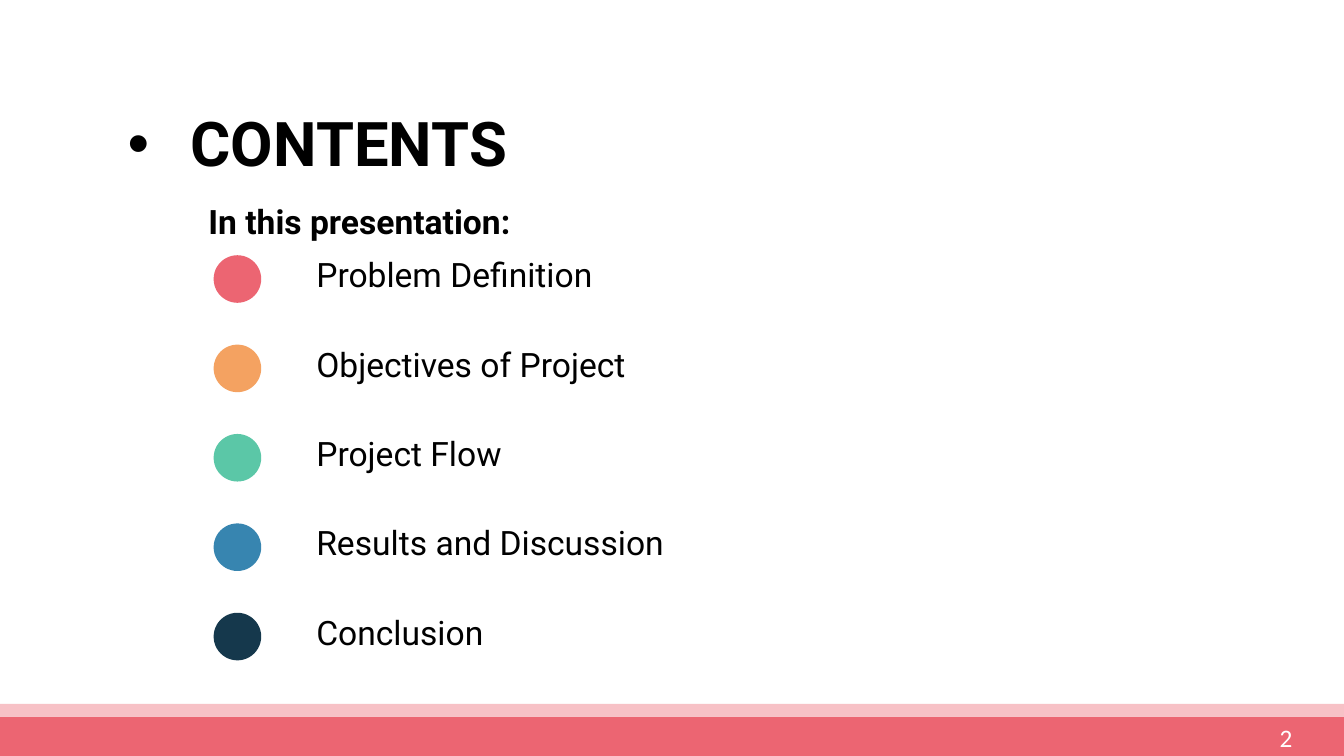
from lxml.etree import SubElement
from pptx import Presentation
from pptx.dml.color import RGBColor
from pptx.enum.shapes import MSO_SHAPE
from pptx.enum.text import MSO_ANCHOR, PP_ALIGN
from pptx.oxml.ns import qn
from pptx.util import Pt

# Content
TITLE = "CONTENTS"
INTRO = "In this presentation:"
TOPICS = [
    ("Problem Definition", "EC6572"),
    ("Objectives of Project", "F4A261"),
    ("Project Flow", "5BC7A7"),
    ("Results and Discussion", "3785B0"),
    ("Conclusion", "15384C"),
]
PAGE_NUMBER = "2"
FOOTER_BANDS = [  # top, height, colour
    (511.9, 28.1, "EC6572"),
    (502.7, 9.2, "F7C1C6"),
]

# Layout, in points
WIDTH, HEIGHT = 960, 540
DOT_LEFT, DOT_TOP, DOT_SIZE = 152.6, 182.3, 34
LABEL_LEFT, LABEL_TOP, LABEL_WIDTH, LABEL_HEIGHT = 218.9, 177.9, 385, 36
ROW_PITCH = 63.85
TITLE_INDENT = 45


def color(value):
    return RGBColor.from_string(value)


def set_font(paragraph, size, name="Roboto", fill="000000", bold=False):
    paragraph.font.size = Pt(size)
    paragraph.font.name = name
    paragraph.font.color.rgb = color(fill)
    paragraph.font.bold = bold


def add_filled(kind, left, top, width, height, fill):
    shape = slide.shapes.add_shape(kind, Pt(left), Pt(top), Pt(width), Pt(height))
    shape.shadow.inherit = False
    shape.fill.solid()
    shape.fill.fore_color.rgb = color(fill)
    shape.line.fill.background()


def add_text(text, left, top, width, height, anchor=MSO_ANCHOR.TOP, size=24, **font):
    box = slide.shapes.add_textbox(Pt(left), Pt(top), Pt(width), Pt(height))
    frame = box.text_frame
    frame.word_wrap = True
    frame.vertical_anchor = anchor
    frame.text = text
    set_font(frame.paragraphs[0], size, **font)


presentation = Presentation()
presentation.slide_width, presentation.slide_height = Pt(WIDTH), Pt(HEIGHT)
slide = presentation.slides.add_slide(presentation.slide_layouts[5])

# Footer bands
for top, height, fill in FOOTER_BANDS:
    add_filled(MSO_SHAPE.RECTANGLE, 0, top, WIDTH, height, fill)

# Bulleted title
title = slide.shapes.title
title.left, title.top, title.width, title.height = Pt(84), Pt(52.5), Pt(828), Pt(104.4)
title.text_frame.text = TITLE
title.text_frame.vertical_anchor = MSO_ANCHOR.MIDDLE
paragraph = title.text_frame.paragraphs[0]
paragraph.alignment = PP_ALIGN.LEFT
paragraph.line_spacing = 0.9
properties = paragraph._p.get_or_add_pPr()
properties.set("marL", str(Pt(TITLE_INDENT)))
properties.set("indent", str(-Pt(TITLE_INDENT)))
SubElement(properties, qn("a:buFont")).set("typeface", "Arial")
SubElement(properties, qn("a:buChar")).set("char", "•")
set_font(paragraph, 44, bold=True)

# Topic list
add_text(INTRO, 141.8, 139.7, 309, 36, bold=True)
for row, (topic, fill) in enumerate(TOPICS):
    offset = row * ROW_PITCH
    add_filled(MSO_SHAPE.OVAL, DOT_LEFT, DOT_TOP + offset, DOT_SIZE, DOT_SIZE, fill)
    add_text(topic, LABEL_LEFT, LABEL_TOP + offset, LABEL_WIDTH, LABEL_HEIGHT,
             MSO_ANCHOR.BOTTOM)

# Page number
add_text(PAGE_NUMBER, 907, 512.6, 53, 27.4, size=18, name="Calibri", fill="FFFFFF")

presentation.save("out.pptx")
